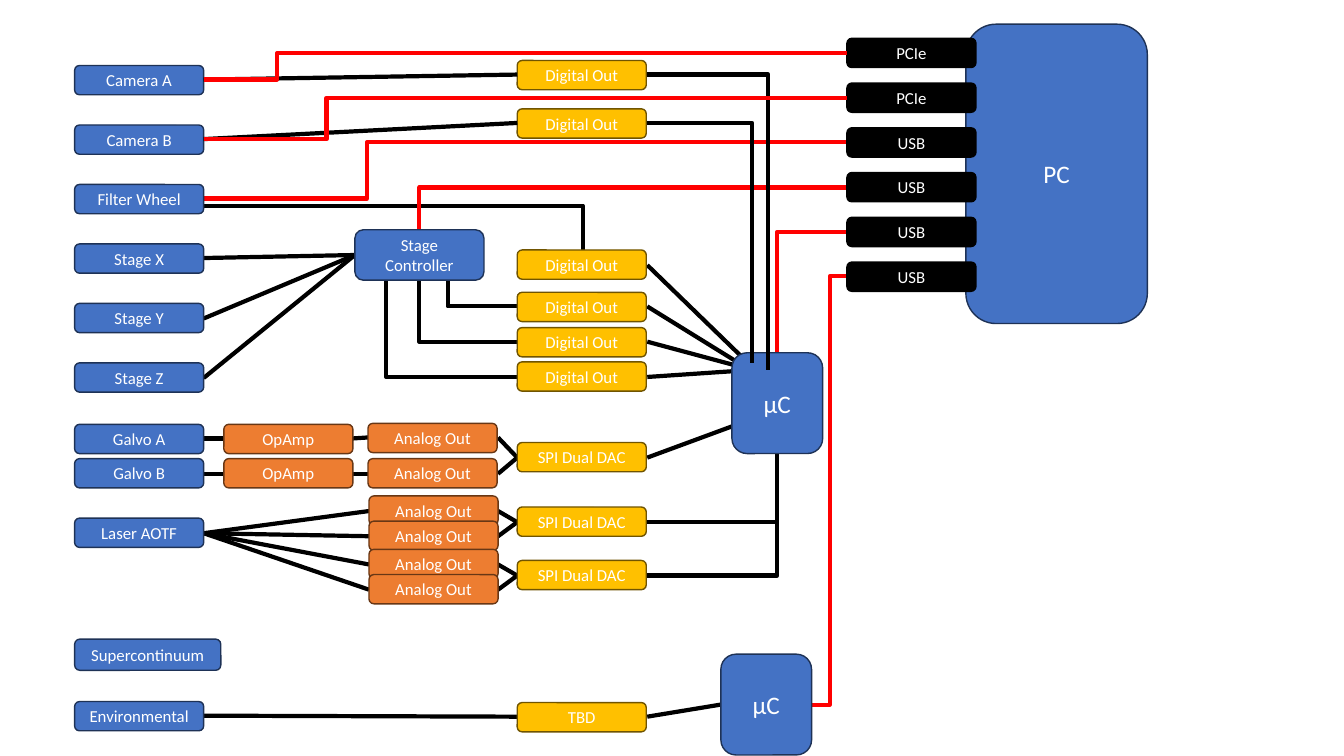
import dataclasses

import pptx
import pptx.dml.color
import pptx.enum.shapes
import pptx.enum.text
import pptx.oxml
import pptx.oxml.ns
import pptx.util
from pptx.util import Inches


@dataclasses.dataclass(frozen=True)
class Theme:
    font: str = "Calibri"
    label_size: int = 12
    unit_size: int = 18
    text: str = "FFFFFF"
    device: tuple = ("4472C4", "1E3256")
    port: tuple = ("000000", "000000")
    digital: tuple = ("FFC000", "705400")
    analog: tuple = ("ED7D31", "683715")
    signal: str = "000000"
    data: str = "FF0000"
    border: float = 1
    wire: float = 3


THEME = Theme()
BOX_WIDTH, BOX_HEIGHT = 1.28, 0.29
DEVICE_LEFT, DEVICE_RIGHT = 0.74, 2.02
OUTPUT_LEFT, OUTPUT_RIGHT = 5.13, 6.42
PORT_LEFT = 8.4

DEVICES = [
    ("Camera A", 0.65), ("Camera B", 1.24), ("Filter Wheel", 1.83),
    ("Stage X", 2.42), ("Stage Y", 3.01), ("Stage Z", 3.6),
    ("Galvo A", 4.21), ("Galvo B", 4.55), ("Laser AOTF", 5.14),
    ("Environmental", 6.96),
]
OUTPUTS = [
    ("Digital Out", 0.6), ("Digital Out", 1.08), ("Digital Out", 2.48),
    ("Digital Out", 2.9), ("Digital Out", 3.25), ("Digital Out", 3.59),
    ("SPI Dual DAC", 4.39), ("SPI Dual DAC", 5.03), ("SPI Dual DAC", 5.56),
    ("TBD", 6.97),
]
OP_AMPS = [("OpAmp", 4.21), ("OpAmp", 4.55)]
GALVO_OUTPUTS = [("Analog Out", 4.2), ("Analog Out", 4.55)]
LASER_OUTPUTS = [("Analog Out", top) for top in (4.92, 5.17, 5.45, 5.7)]
PORTS = ["PCIe", "PCIe", "USB", "USB", "USB", "USB"]


def rgb(value):
    return pptx.dml.color.RGBColor.from_string(value)


def add_box(slide, label, left, top, colors, width=BOX_WIDTH, height=BOX_HEIGHT,
            size=THEME.label_size):
    shape = slide.shapes.add_shape(
        pptx.enum.shapes.MSO_SHAPE.ROUNDED_RECTANGLE,
        Inches(left), Inches(top), Inches(width), Inches(height))
    shape.shadow.inherit = False
    fill, border = colors
    shape.fill.solid()
    shape.fill.fore_color.rgb = rgb(fill)
    shape.line.color.rgb = rgb(border)
    shape.line.width = pptx.util.Pt(THEME.border)
    frame = shape.text_frame
    frame.word_wrap = True
    frame.vertical_anchor = pptx.enum.text.MSO_ANCHOR.MIDDLE
    paragraph = frame.paragraphs[0]
    paragraph.alignment = pptx.enum.text.PP_ALIGN.CENTER
    run = paragraph.add_run()
    run.text = label
    run.font.name = THEME.font
    run.font.size = pptx.util.Pt(size)
    run.font.color.rgb = rgb(THEME.text)


def add_column(slide, items, left, colors):
    for label, top in items:
        add_box(slide, label, left, top, colors)


def add_connector(slide, kind, start, end, color):
    connector = slide.shapes.add_connector(
        kind, *(Inches(value) for value in (*start, *end)))
    connector.line.color.rgb = rgb(color)
    connector.line.width = pptx.util.Pt(THEME.wire)
    properties = connector.element.spPr
    properties.append(pptx.oxml.parse_xml(
        f"<a:effectLst {pptx.oxml.ns.nsdecls('a')}/>"))
    return properties.find(pptx.oxml.ns.qn("a:prstGeom"))


def add_wire(slide, start, end):
    add_connector(slide, pptx.enum.shapes.MSO_CONNECTOR.STRAIGHT,
                  start, end, THEME.signal)


def add_corner(slide, start, end, color=THEME.signal):
    geometry = add_connector(slide, pptx.enum.shapes.MSO_CONNECTOR.ELBOW,
                             start, end, color)
    geometry.set("prst", "bentConnector2")


def add_step(slide, start, end, bend):
    geometry = add_connector(slide, pptx.enum.shapes.MSO_CONNECTOR.ELBOW,
                             start, end, THEME.data)
    ratio = round((bend - start[0]) / (end[0] - start[0]) * 100000)
    guides = geometry.get_or_add_avLst()
    guides.append(pptx.oxml.parse_xml(
        f'<a:gd {pptx.oxml.ns.nsdecls("a")} name="adj1" fmla="val {ratio}"/>'))


def add_stage_wiring(slide):
    for y in (2.56, 3.16, 3.75):
        add_wire(slide, (DEVICE_RIGHT, y), (3.52, 2.53))
    for y, x in ((3.04, 4.44), (3.39, 4.16), (3.74, 3.83)):
        add_corner(slide, (OUTPUT_LEFT, y), (x, 2.7))
    for y, end in ((2.63, (7.46, 3.64)), (3.04, (7.39, 3.64)),
                   (3.39, (7.46, 3.67)), (3.74, (7.46, 3.67))):
        add_wire(slide, (OUTPUT_RIGHT, y), end)
    add_corner(slide, (1.96, 2.04), (5.78, 2.48))
    add_corner(slide, (PORT_LEFT, 1.86), (4.16, 2.28), THEME.data)
    add_corner(slide, (PORT_LEFT, 2.3), (7.71, 3.5), THEME.data)
    add_step(slide, (PORT_LEFT, 1.41), (DEVICE_RIGHT, 1.97), 3.64)


def add_analog_wiring(slide):
    for y, output_y in ((4.35, 4.34), (4.7, 4.7)):
        add_wire(slide, (DEVICE_RIGHT, y), (2.22, y))
        add_wire(slide, (3.5, y), (3.65, output_y))
        add_wire(slide, (4.94, output_y), (OUTPUT_LEFT, 4.54))
    for y, dac_y in ((5.07, 5.18), (5.32, 5.18), (5.6, 5.71), (5.85, 5.71)):
        add_wire(slide, (DEVICE_RIGHT, 5.29), (3.66, y))
        add_wire(slide, (4.94, y), (OUTPUT_LEFT, dac_y))
    add_wire(slide, (OUTPUT_RIGHT, 4.54), (7.26, 4.23))
    for y in (5.18, 5.71):
        add_corner(slide, (OUTPUT_RIGHT, y), (7.71, 4.5))


def add_environment_wiring(slide):
    add_wire(slide, (DEVICE_RIGHT, 7.1), (OUTPUT_LEFT, 7.11))
    add_wire(slide, (OUTPUT_RIGHT, 7.11), (7.15, 6.99))
    add_step(slide, (PORT_LEFT, 2.74), (8.05, 6.99), 8.23)


def add_camera_wiring(slide):
    for y, end in ((1.22, (7.46, 3.6)), (0.74, (7.62, 3.67))):
        add_corner(slide, (OUTPUT_RIGHT, y), end)
    for camera_y, output_y, port_y, bend in ((0.79, 0.74, 0.53, 2.75),
                                             (1.38, 1.22, 0.97, 3.24)):
        add_wire(slide, (DEVICE_RIGHT, camera_y), (OUTPUT_LEFT, output_y))
        add_step(slide, (PORT_LEFT, port_y), (DEVICE_RIGHT, camera_y), bend)


def add_boxes(slide):
    add_column(slide, DEVICES, DEVICE_LEFT, THEME.device)
    add_box(slide, "Supercontinuum", DEVICE_LEFT, 6.34, THEME.device, 1.45, 0.31)
    add_box(slide, "Stage Controller", 3.52, 2.28, THEME.device, height=0.5)
    add_column(slide, OP_AMPS, 2.22, THEME.analog)
    add_column(slide, GALVO_OUTPUTS, 3.65, THEME.analog)
    add_column(slide, LASER_OUTPUTS, 3.66, THEME.analog)
    add_column(slide, OUTPUTS, OUTPUT_LEFT, THEME.digital)
    for label, left, top, width, height in (("PC", 9.58, 0.24, 1.8, 2.97),
                                            ("µC", 7.26, 3.5, 0.9, 1),
                                            ("µC", 7.15, 6.49, 0.9, 1)):
        add_box(slide, label, left, top, THEME.device, width, height,
                THEME.unit_size)
    ports = [(label, 0.38 + 0.444 * row) for row, label in enumerate(PORTS)]
    add_column(slide, ports, PORT_LEFT, THEME.port)


def main():
    presentation = pptx.Presentation()
    presentation.slide_width = Inches(13.33)
    presentation.slide_height = Inches(7.5)
    slide = presentation.slides.add_slide(presentation.slide_layouts[6])
    add_stage_wiring(slide)
    add_analog_wiring(slide)
    add_environment_wiring(slide)
    add_boxes(slide)
    add_camera_wiring(slide)
    presentation.save("out.pptx")


if __name__ == "__main__":
    main()
